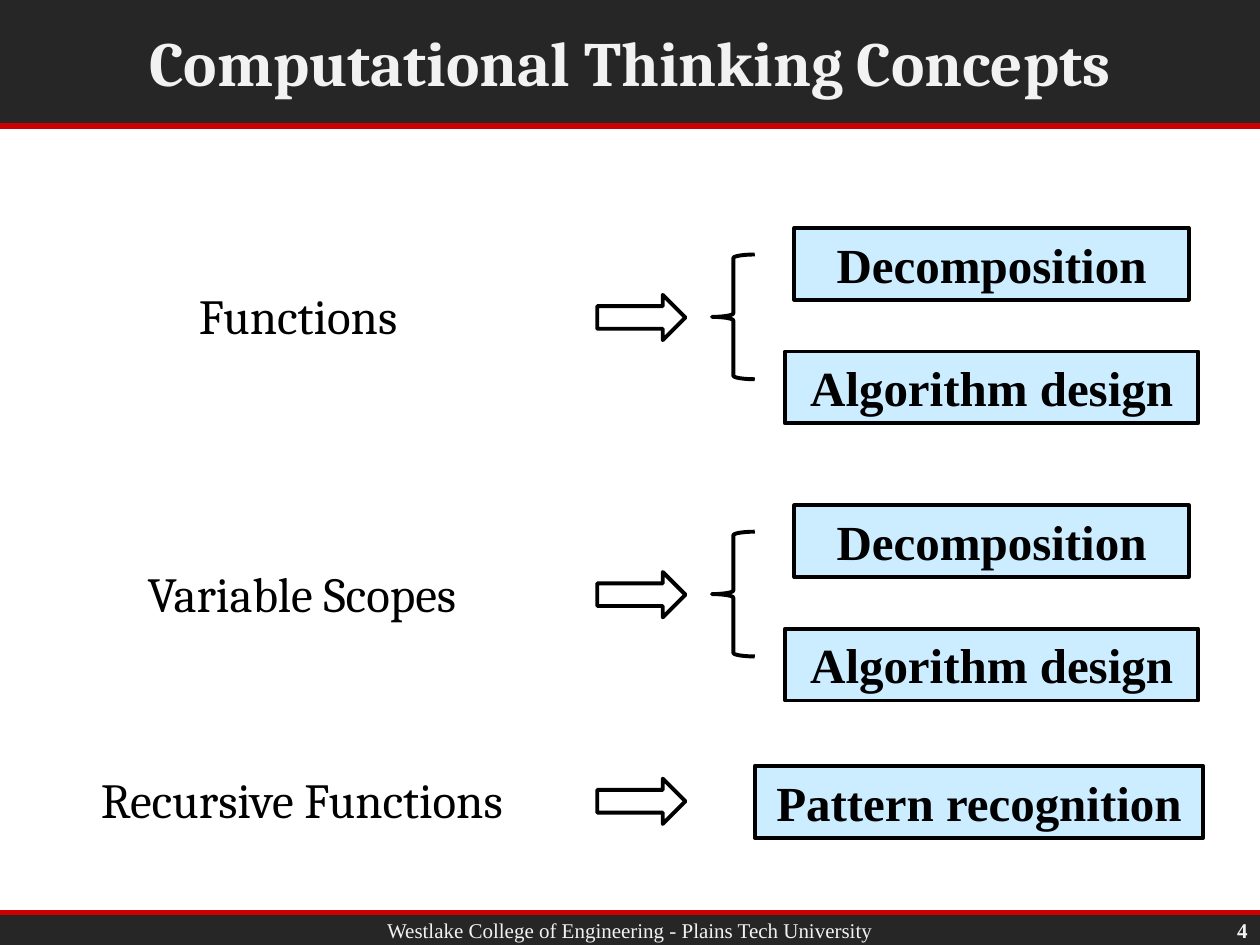
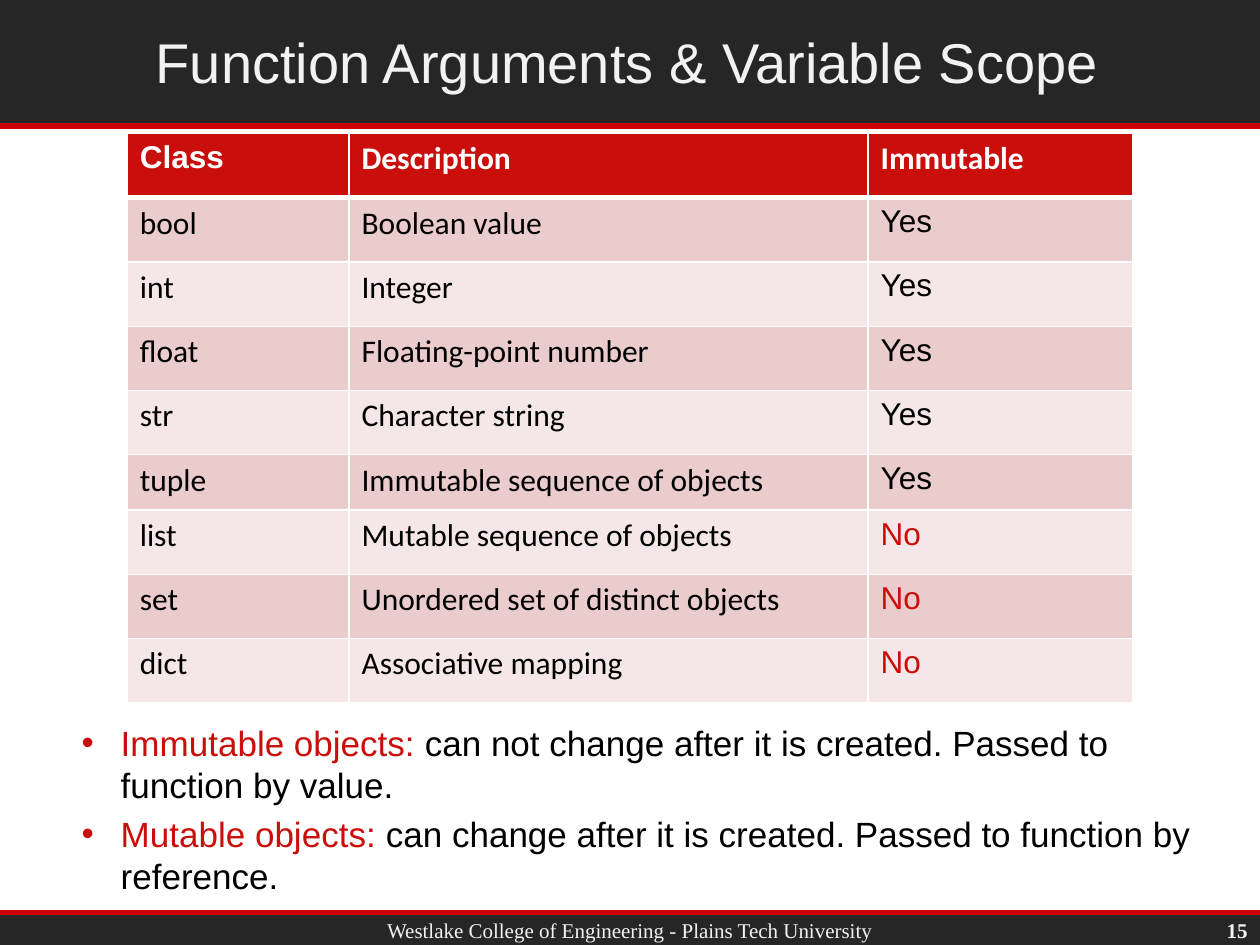
import pptx
import pptx.util
import pptx.dml.color
import pptx.enum.shapes
import pptx.enum.text
import pptx.oxml.ns
from lxml import etree

Inches, Pt = pptx.util.Inches, pptx.util.Pt
SHAPE = pptx.enum.shapes.MSO_SHAPE
ALIGN = pptx.enum.text.PP_ALIGN
ANCHOR = pptx.enum.text.MSO_ANCHOR
qn = pptx.oxml.ns.qn

COLORS = {
    "band": "262626", "rule": "CC0000", "light": "F2F2F2", "text": "000000",
    "concept": "CCECFF", "accent": "C90E0C", "white": "FFFFFF",
    "odd row": "EBCCCC", "even row": "F5E7E7",
}
FOOTER = "Westlake College of Engineering - Plains Tech University"
FOOTER_FONT = {"name": "Times New Roman", "size": Pt(12)}
TOPIC_FONT = {"name": "Cambria", "size": Pt(28)}
CONCEPT_FONT = {"name": "Times New Roman", "size": Pt(28), "bold": True}

# Topic, left edge of its label, centre line of its row, concepts as (name, width)
PAIR = [("Decomposition", 3.13), ("Algorithm design", 3.28)]
TOPICS = [
    ("Functions", 0.22, 2.52, PAIR),
    ("Variable Scopes", 0.25, 4.72, PAIR),
    ("Recursive Functions", 0.25, 6.36, [("Pattern recognition", 3.56)]),
]

CLASSES = [
    ("Class", "Description", "Immutable"),
    ("bool", "Boolean value", "Yes"),
    ("int", "Integer", "Yes"),
    ("float", "Floating-point number", "Yes"),
    ("str", "Character string", "Yes"),
    ("tuple", "Immutable sequence of objects", "Yes"),
    ("list", "Mutable sequence of objects", "No"),
    ("set", "Unordered set of distinct objects", "No"),
    ("dict", "Associative mapping", "No"),
]
DEFINITIONS = [
    ("Immutable objects: ",
     "can not change after it is created. Passed to function by value."),
    ("Mutable objects: ",
     "can change after it is created. Passed to function by reference."),
]


def rgb(color):
    return pptx.dml.color.RGBColor.from_string(COLORS[color])


def apply(target, values):
    for name, value in values.items():
        setattr(target, name, value)


class Deck:
    """Holds the presentation, the shared style and the current slide."""

    def __init__(self):
        self.presentation = pptx.Presentation()
        apply(self.presentation,
              {"slide_width": Inches(10), "slide_height": Inches(7.5)})
        self.slide = None

    def add_slide(self, title, number, left, width, font):
        """Start a slide with the title band, footer band and page number."""
        layout = self.presentation.slide_layouts[5]
        self.slide = self.presentation.slides.add_slide(layout)
        for top, height, rule_y in ((7.24, 0.26, 7.24), (0, 1, 1)):
            self.shape(SHAPE.RECTANGLE, 0, top, 10, height, fill="band", line=None)
            self.rule(rule_y)
        self.text(FOOTER, 1.01, 7.23, 7.98, 0.3, FOOTER_FONT, "light",
                  anchor=ANCHOR.MIDDLE)
        self.text(number, 9.28, 7.25, 0.72, 0.26, {**FOOTER_FONT, "bold": True},
                  "light", ALIGN.RIGHT, ANCHOR.MIDDLE)
        heading = self.slide.shapes.title
        self.slide.shapes._spTree.append(heading._element)  # in front of the band
        apply(heading, {"left": Inches(left), "top": Inches(0.04),
                        "width": Inches(width), "height": Inches(0.89)})
        self.fill_frame(heading.text_frame, title, font, "light",
                        anchor=ANCHOR.MIDDLE)

    def fill_frame(self, frame, text, font, color, align=ALIGN.CENTER,
                   anchor=ANCHOR.TOP):
        apply(frame, {"word_wrap": True, "vertical_anchor": anchor,
                      "auto_size": pptx.enum.text.MSO_AUTO_SIZE.NONE})
        paragraph = frame.paragraphs[0]
        paragraph.alignment = align
        self.add_words(paragraph, text, font, color)

    def add_words(self, paragraph, text, font, color):
        words = paragraph.add_run()
        words.text = text
        apply(words.font, font)
        words.font.color.rgb = rgb(color)

    def text(self, text, left, top, width, height, font, color,
             align=ALIGN.CENTER, anchor=ANCHOR.TOP):
        box = self.slide.shapes.add_textbox(*map(Inches, (left, top, width, height)))
        self.fill_frame(box.text_frame, text, font, color, align, anchor)

    def shape(self, kind, left, top, width, height, fill=None, line="text"):
        shape = self.slide.shapes.add_shape(
            kind, *map(Inches, (left, top, width, height)))
        shape.shadow.inherit = False
        if fill:
            shape.fill.solid()
            shape.fill.fore_color.rgb = rgb(fill)
        else:
            shape.fill.background()
        if line:
            shape.line.color.rgb = rgb(line)
            shape.line.width = Pt(2.25)
        else:
            shape.line.fill.background()
        return shape

    def rule(self, y):
        rule = self.slide.shapes.add_connector(
            pptx.enum.shapes.MSO_CONNECTOR.STRAIGHT, 0, Inches(y), Inches(10), Inches(y))
        rule.line.color.rgb = rgb("rule")
        rule.line.width = Pt(3)
        etree.SubElement(rule._element.spPr, qn("a:effectLst"))

    def concept(self, name, center_x, top, width):
        box = self.shape(SHAPE.RECTANGLE, center_x - width / 2, top, width, 0.57,
                         fill="concept")
        self.fill_frame(box.text_frame, name, CONCEPT_FONT, "text")

    def table(self, rows, left, top, widths, heights):
        table = self.slide.shapes.add_table(
            len(rows), len(widths), Inches(left), Inches(top),
            Inches(sum(widths)), Inches(sum(heights))).table
        for column, width in zip(table.columns, widths):
            column.width = Inches(width)
        for r, (values, height) in enumerate(zip(rows, heights)):
            table.rows[r].height = Inches(height)
            for c, value in enumerate(values):
                self.cell(table.cell(r, c), value, r, c)

    def cell(self, cell, value, r, c):
        header = r == 0
        arial = c == 0 if header else c == 2
        font = {"name": "Arial" if arial else "Calibri", "size": Pt(18), "bold": header}
        color = "white" if header else "accent" if value == "No" else "text"
        self.add_words(cell.text_frame.paragraphs[0], value, font, color)
        for side in "LRTB":
            thick = (r, side) in ((0, "B"), (1, "T"))
            self.border(cell, side, 3 if thick else 1)
        cell.fill.solid()
        cell.fill.fore_color.rgb = rgb(
            "accent" if header else "odd row" if r % 2 else "even row")

    def border(self, cell, side, points):
        edge = etree.SubElement(cell._tc.get_or_add_tcPr(), qn(f"a:ln{side}"),
                                w=str(Pt(points)))
        fill = etree.SubElement(edge, qn("a:solidFill"))
        etree.SubElement(fill, qn("a:srgbClr"), val=COLORS["white"])

    def definitions(self, items, left, top, width, height):
        """Bulleted terms, each followed by its explanation."""
        frame = self.slide.shapes.add_textbox(
            *map(Inches, (left, top, width, height))).text_frame
        frame.word_wrap = True
        font = {"name": "Arial", "size": Pt(20)}
        for i, (term, meaning) in enumerate(items):
            paragraph = frame.add_paragraph() if i else frame.paragraphs[0]
            paragraph.space_before = Pt(4)
            properties = paragraph._p.get_or_add_pPr()
            properties.set("marL", str(Inches(0.31)))
            properties.set("indent", str(-Inches(0.31)))
            etree.SubElement(properties, qn("a:buFont"), typeface="Arial")
            etree.SubElement(properties, qn("a:buChar"), char="•")
            self.add_words(paragraph, term, font, "accent")
            self.add_words(paragraph, meaning, font, "text")


def add_concepts_slide(deck):
    deck.add_slide("Computational Thinking Concepts", "4", 1.01, 7.98,
                   {"name": "Cambria", "size": Pt(36), "bold": True})
    for topic, left, center, concepts in TOPICS:
        deck.text(topic, left, center - 0.3, 4.29, 0.57, TOPIC_FONT, "text")
        deck.shape(SHAPE.RIGHT_ARROW, 4.74, center - 0.18, 0.7, 0.36)
        if len(concepts) == 1:
            name, width = concepts[0]
            deck.concept(name, 7.77, center - 0.28, width)
            continue
        brace = deck.shape(SHAPE.RIGHT_BRACE, 5.65, center - 0.5, 0.34, 0.99)
        brace.rotation = 180
        for i, (name, width) in enumerate(concepts):
            deck.concept(name, 7.87, center - 0.71 + 0.98 * i, width)


def add_classes_slide(deck):
    deck.add_slide("Function Arguments & Variable Scope", "15", 0.76, 8.44,
                   {"name": "Arial", "size": Pt(32)})
    heights = [0.44 if row[0] == "tuple" else 0.51 for row in CLASSES]
    deck.table(CLASSES, 1.01, 1.06, [1.76, 4.12, 2.1], heights)
    deck.definitions(DEFINITIONS, 0.55, 5.68, 9.35, 1.91)


def main():
    deck = Deck()
    add_concepts_slide(deck)
    add_classes_slide(deck)
    deck.presentation.save("out.pptx")


if __name__ == "__main__":
    main()
